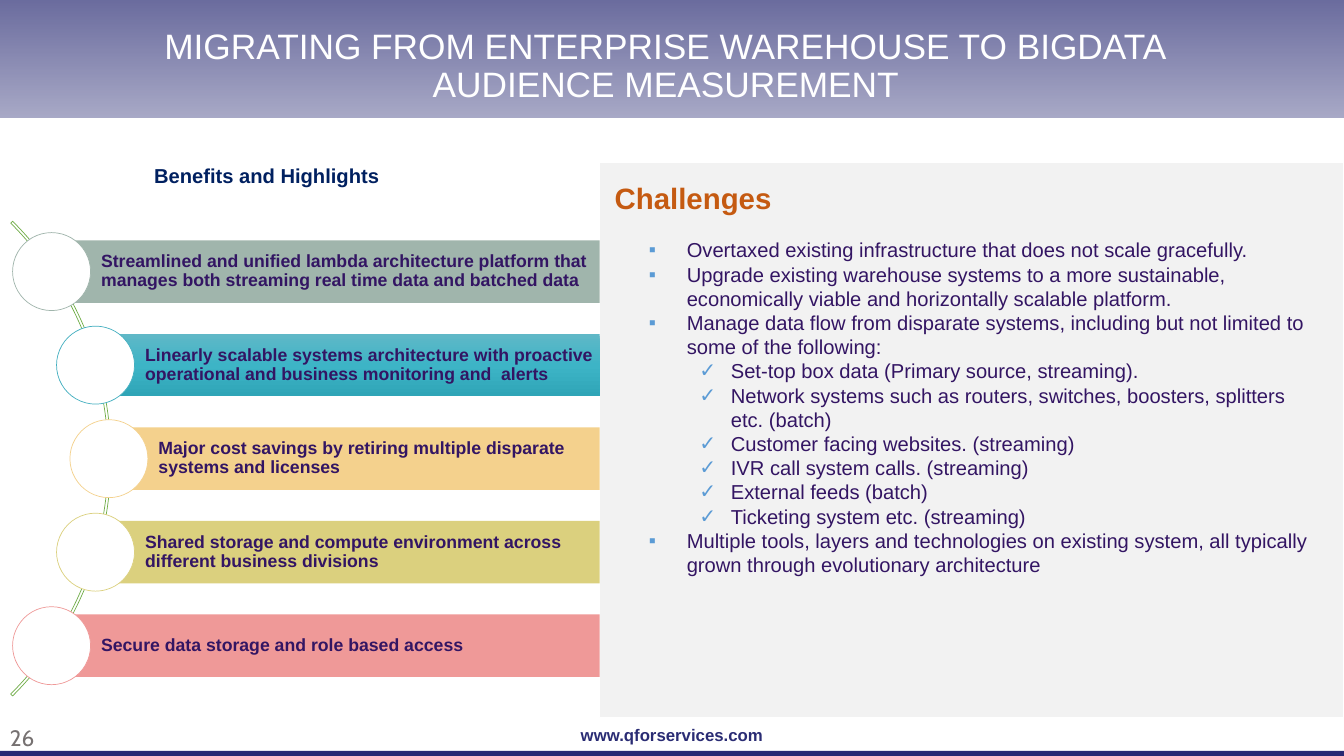
"""Build the slide on moving audience measurement from a warehouse to big data."""
from math import sqrt

from lxml.etree import SubElement
from pptx import Presentation
from pptx.dml.color import RGBColor
from pptx.enum.shapes import MSO_SHAPE
from pptx.enum.text import MSO_ANCHOR, PP_ALIGN
from pptx.oxml.ns import qn
from pptx.util import Pt

TITLE = "MIGRATING FROM ENTERPRISE WAREHOUSE TO BIGDATA\vAUDIENCE MEASUREMENT"
INK, WHITE, GREEN, BLUE = "331563", "FFFFFF", "70AD47", "5B9BD5"
BANNER = [(0, "282A73", 70), (100, "282A73", 40)]
TEAL = [(0, "60B8C7", 100), (50, "3DB4C6", 100), (100, "2FA5B7", 100)]
BENEFITS = [
    ("Streamlined and unified lambda architecture platform that manages both "
     "streaming real time data and batched data", "A0B5AC", "A0B5AC"),
    ("Linearly scalable systems architecture with proactive operational and "
     "business monitoring and  alerts", TEAL, "43AFC0"),
    ("Major cost savings by retiring multiple disparate systems and licenses",
     "F4D18D", "F4D18D"),
    ("Shared storage and compute environment across different business divisions",
     "DBD07E", "DBD07E"),
    ("Secure data storage and role based access", "EF9998", "EF9998"),
]
ISSUES = [
    (0, "Overtaxed existing infrastructure that does not scale gracefully."),
    (0, "Upgrade existing warehouse systems to a more sustainable, economically "
        "viable and horizontally scalable platform."),
    (0, "Manage data flow from disparate systems, including but not limited to "
        "some of the following:"),
    (1, "Set-top box data (Primary source, streaming)."),
    (1, "Network systems such as routers, switches, boosters, splitters etc. (batch)"),
    (1, "Customer facing websites. (streaming)"),
    (1, "IVR call system calls. (streaming)"),
    (1, "External feeds (batch)"),
    (1, "Ticketing system etc. (streaming)"),
    (0, "Multiple tools, layers and technologies on existing system, all typically "
        "grown through evolutionary architecture"),
]
BULLETS = [("▪", 27, -27), ("✓", 58.5, -22.5)]

WIDE, HIGH = 960, 540
SPLIT = 428.4
ARC_X, ARC_Y, ARC_D = -160.5, 327.6, 479.5
ORBIT, PITCH = 238.3, 66.8
BAR, DISC = 44.6, 55.7

deck = Presentation()
deck.slide_width, deck.slide_height = Pt(WIDE), Pt(HIGH)
slide = deck.slides.add_slide(deck.slide_layouts[6])


def color(code):
    return RGBColor.from_string(code)


def blend(fill, stops):
    fill.gradient()
    fill.gradient_angle = 270
    items = fill._fill._gradFill.find(qn("a:gsLst"))
    for old in list(items):
        items.remove(old)
    for spot, code, alpha in stops:
        stop = SubElement(items, qn("a:gs"), pos=str(spot * 1000))
        tint = SubElement(stop, qn("a:srgbClr"), val=code)
        if alpha < 100:
            SubElement(tint, qn("a:alpha"), val=str(alpha * 1000))


def draw(kind, box, fill=None, line=None, width=0.5):
    shape = slide.shapes.add_shape(kind, *map(Pt, box))
    shape.shadow.inherit = False
    if isinstance(fill, list):
        blend(shape.fill, fill)
    elif fill:
        shape.fill.solid()
        shape.fill.fore_color.rgb = color(fill)
    else:
        shape.fill.background()
    if line:
        shape.line.color.rgb = color(line)
        shape.line.width = Pt(width)
    else:
        shape.line.fill.background()
    return shape


def style(para, size, code, bold=False, align=PP_ALIGN.LEFT, face="Arial"):
    para.alignment = align
    font = para.font
    font.name, font.size, font.bold = face, Pt(size), bold
    font.color.rgb = color(code)


def label(box, text, *look, **more):
    frame = slide.shapes.add_textbox(*map(Pt, box)).text_frame
    frame.word_wrap = True
    frame.text = text
    style(frame.paragraphs[0], *look, **more)
    return frame


def bullet(para, level):
    mark, left, hang = BULLETS[level]
    para.level = level
    props = para._p.get_or_add_pPr()
    props.set("marL", str(Pt(left)))
    props.set("indent", str(Pt(hang)))
    SubElement(SubElement(props, qn("a:buClr")), qn("a:srgbClr"), val=BLUE)
    SubElement(props, qn("a:buFont"), typeface="Arial")
    SubElement(props, qn("a:buChar"), char=mark)


RECT = MSO_SHAPE.RECTANGLE
draw(RECT, (0, -2, WIDE, 86), BANNER)
draw(RECT, (0, 536.4, WIDE, 3.6), "272973")
label((364, 514, 232, 21.6), "www.qforservices.com", 12, "2A2C74", True, PP_ALIGN.CENTER)
label((0, 513.4, 71, 26.6), "26", 16, "767171", face="Cabin")
draw(RECT, (SPLIT, 116.2, WIDE - SPLIT, 396.4), "F2F2F2", WHITE, 1)

title = label((8.6, 20.9, 934, 54.7), TITLE, 25.2, WHITE, align=PP_ALIGN.CENTER)
title.vertical_anchor = MSO_ANCHOR.MIDDLE
title.paragraphs[0].line_spacing = 0.9

arc = draw(MSO_SHAPE.BLOCK_ARC,
           (ARC_X - ARC_D / 2, ARC_Y - ARC_D / 2, ARC_D, ARC_D), None, GREEN)
for n, value in enumerate((189, 27, 0.004)):
    arc.adjustments[n] = value

for n, (text, fill, rim) in enumerate(BENEFITS):
    rise = (n - 2) * PITCH
    x, y = ARC_X + sqrt(ORBIT ** 2 - rise ** 2), ARC_Y + rise
    bar = draw(RECT, (x, y - BAR / 2, SPLIT - x, BAR), fill)
    frame = bar.text_frame
    frame.word_wrap = True
    frame.vertical_anchor = MSO_ANCHOR.MIDDLE
    frame.margin_left = Pt(35.4)
    frame.margin_right = frame.margin_top = frame.margin_bottom = Pt(2.5)
    frame.text = text
    para = frame.paragraphs[0]
    style(para, 12.6, INK, True)
    para.line_spacing = 0.9
    draw(MSO_SHAPE.OVAL, (x - DISC / 2, y - DISC / 2, DISC, DISC), WHITE, rim)

label((103, 113, 188.6, 24.5), "Benefits and Highlights", 14.4, "002060", True)
label((432, 125.3, 203.8, 32.4), "Challenges", 21, "C55A11", True)

frame = slide.shapes.add_textbox(Pt(456.5), Pt(166.3), Pt(486.7), Pt(183)).text_frame
frame.word_wrap = True
for n, (level, text) in enumerate(ISSUES):
    para = frame.add_paragraph() if n else frame.paragraphs[0]
    para.text = text
    bullet(para, level)
    style(para, 14.4, INK)

deck.save("out.pptx")
